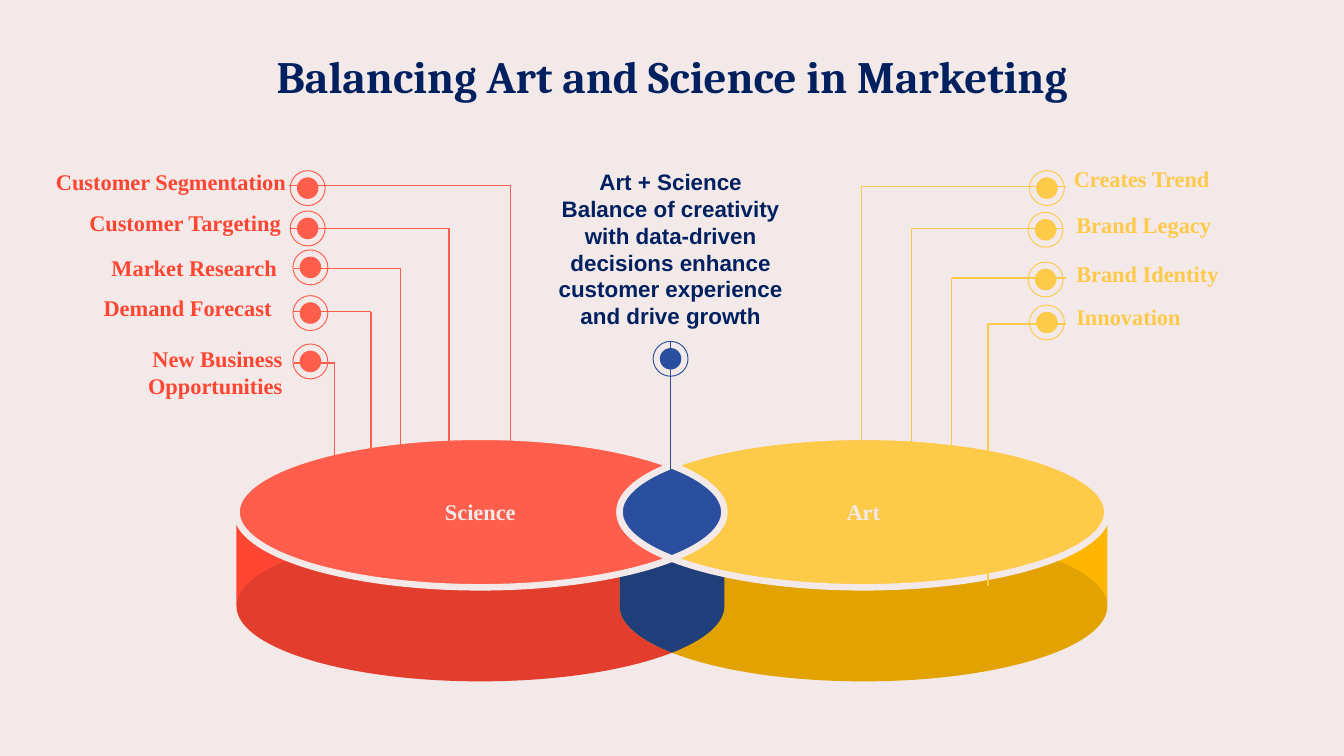
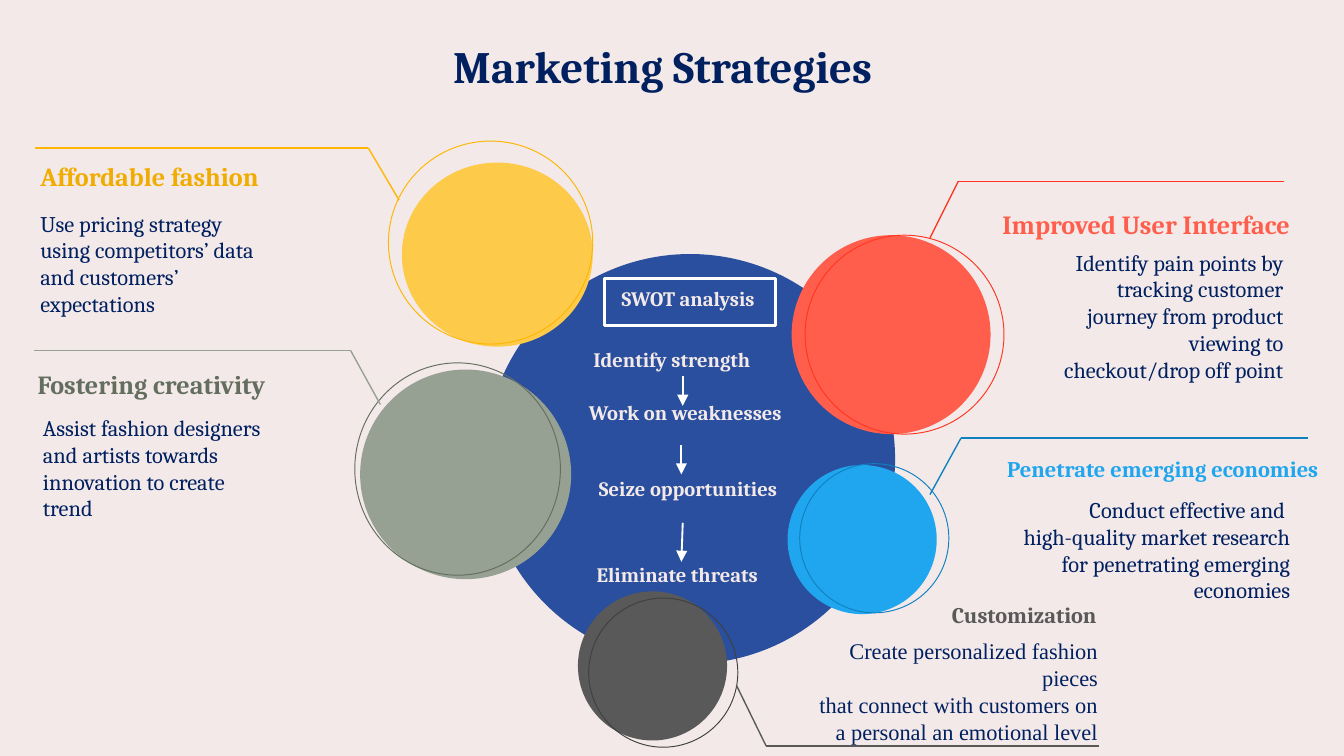
import dataclasses
import math

import lxml.etree
import pptx
import pptx.dml.color
import pptx.enum.shapes
import pptx.enum.text
import pptx.oxml.ns
import pptx.util


@dataclasses.dataclass(frozen=True)
class Theme:
    background: str = "F3E9E8"
    navy: str = "002060"
    blue: str = "294F9E"
    deep_blue: str = "203E7A"
    red: str = "FF5E4C"
    strong_red: str = "FF4633"
    line_red: str = "FF3621"
    yellow: str = "FECA4A"
    strong_yellow: str = "FEB602"
    text_yellow: str = "F1AC01"
    sage: str = "97A193"
    deep_sage: str = "646E5F"
    sky: str = "20A6EE"
    deep_sky: str = "0F81C1"
    grey: str = "595959"
    deep_grey: str = "404040"
    white: str = "FFFFFF"
    black: str = "000000"
    heading_font: str = "Cambria"
    label_font: str = "Times New Roman"
    centre_font: str = "Arial"
    title_size: int = 24
    heading_size: int = 14
    body_size: int = 12
    step_size: int = 11


THEME = Theme()
PX = 9144
ELLIPSE = pptx.enum.shapes.MSO_SHAPE.OVAL
RECTANGLE = pptx.enum.shapes.MSO_SHAPE.RECTANGLE
STRAIGHT = pptx.enum.shapes.MSO_CONNECTOR.STRAIGHT
LEFT = pptx.enum.text.PP_ALIGN.LEFT
CENTER = pptx.enum.text.PP_ALIGN.CENTER
RIGHT = pptx.enum.text.PP_ALIGN.RIGHT

DISC_WIDTH, DISC_HEIGHT = 363, 112
RADIUS_X, RADIUS_Y = DISC_WIDTH / 2, DISC_HEIGHT / 2
SCIENCE_LEFT, ART_LEFT = 176, 461
SCIENCE_X, ART_X = SCIENCE_LEFT + RADIUS_X, ART_LEFT + RADIUS_X
DISC_TOP, BASE_TOP, WALL_TOP = 325, 395, 383
DISC_Y, BASE_Y = DISC_TOP + RADIUS_Y, BASE_TOP + RADIUS_Y
CROSSING = math.acos((ART_X - SCIENCE_X) / 2 / RADIUS_X)


def draw(slide, kind, numbers, fill=None, line=None, width=0.75):
    if kind == "outline":
        corners, arcs = numbers
        points = list(corners)
        for index, (x, y, start, end) in enumerate(arcs):
            pull = 4 / 3 * math.tan((end - start) / 4)
            turns = [(start, 0), (start, pull), (end, -pull), (end, 0)]
            for angle, offset in turns[min(index, 1):]:
                points.append((
                    x + RADIUS_X * (math.cos(angle) - offset * math.sin(angle)),
                    y + RADIUS_Y * (math.sin(angle) + offset * math.cos(angle))))
        points = [(x * PX, y * PX) for x, y in points]
        builder = slide.shapes.build_freeform(*points[0], scale=1.0)
        builder.add_line_segments(points[1:], close=True)
        shape = builder.convert_to_shape()
        segments = shape.element.spPr.findall(".//" + pptx.oxml.ns.qn("a:lnTo"))
        curved = segments[-3 * len(arcs):]
        for first, second, third in zip(curved[::3], curved[1::3], curved[2::3]):
            first.tag = pptx.oxml.ns.qn("a:cubicBezTo")
            for segment in (second, third):
                first.append(segment[0])
                segment.getparent().remove(segment)
    else:
        lengths = [number * PX for number in numbers]
        if kind == "text":
            return slide.shapes.add_textbox(*lengths)
        if kind == "line":
            shape = slide.shapes.add_connector(STRAIGHT, *lengths)
        else:
            shape = slide.shapes.add_shape(kind, *lengths)
    if fill:
        shape.fill.solid()
        shape.fill.fore_color.rgb = pptx.dml.color.RGBColor.from_string(fill)
    elif kind != "line":
        shape.fill.background()
    if line:
        shape.line.color.rgb = pptx.dml.color.RGBColor.from_string(line)
        shape.line.width = pptx.util.Pt(width)
    else:
        shape.line.fill.background()
    lxml.etree.SubElement(shape.element.spPr, pptx.oxml.ns.qn("a:effectLst"))
    return shape


def write(shape, text, color, size=THEME.body_size, font=THEME.heading_font,
          bold=True, align=LEFT, inset=(0, 0), grow=True):
    frame = shape.text_frame
    frame.text = text
    frame.word_wrap = True
    if grow:
        frame.auto_size = pptx.enum.text.MSO_AUTO_SIZE.SHAPE_TO_FIT_TEXT
    frame.margin_left = frame.margin_right = inset[0] * PX
    frame.margin_top = frame.margin_bottom = inset[1] * PX
    for paragraph in frame.paragraphs:
        paragraph.alignment = align
        for run in paragraph.runs:
            run.font.name = font
            run.font.size = pptx.util.Pt(size)
            run.font.bold = bold
            run.font.color.rgb = pptx.dml.color.RGBColor.from_string(color)
    return frame


presentation = pptx.Presentation()
presentation.slide_width = 1000 * PX
presentation.slide_height = pptx.util.Inches(5.625)

slides = []
for title, box in [
    ("Balancing Art and Science in Marketing", (47, 31, 906, 53)),
    ("Marketing Strategies", (56, 23, 874, 63)),
]:
    slide = presentation.slides.add_slide(presentation.slide_layouts[6])
    slide.background.fill.solid()
    slide.background.fill.fore_color.rgb = pptx.dml.color.RGBColor.from_string(THEME.background)
    frame = write(draw(slide, "text", box), title, THEME.navy, THEME.title_size,
                  align=CENTER, inset=(10, 10), grow=False)
    frame.paragraphs[0].line_spacing = 0.9
    slides.append(slide)
balance, strategies = slides

for left, color in [(SCIENCE_LEFT, THEME.strong_red), (ART_LEFT, THEME.strong_yellow)]:
    center_x = left + RADIUS_X
    corners = [(left, WALL_TOP), (left + DISC_WIDTH, WALL_TOP)]
    arcs = [(center_x, BASE_Y, 0, math.pi / 2), (center_x, BASE_Y, math.pi / 2, math.pi)]
    draw(balance, "outline", (corners, arcs), color)
    shade = draw(balance, ELLIPSE, (left, BASE_TOP, DISC_WIDTH, DISC_HEIGHT), THEME.black)
    shade_color = shade.element.spPr.find(".//" + pptx.oxml.ns.qn("a:srgbClr"))
    lxml.etree.SubElement(shade_color, pptx.oxml.ns.qn("a:alpha"), val="11000")

overlap_corners = [(ART_LEFT, WALL_TOP), (SCIENCE_LEFT + DISC_WIDTH, WALL_TOP)]
overlap_arcs = [
    (SCIENCE_X, BASE_Y, 0, CROSSING),
    (ART_X, BASE_Y, math.pi - CROSSING, math.pi),
]
draw(balance, "outline", (overlap_corners, overlap_arcs), THEME.deep_blue)

for name, left, color in [("Science", SCIENCE_LEFT, THEME.red), ("Art", ART_LEFT, THEME.yellow)]:
    disc = draw(balance, ELLIPSE, (left, DISC_TOP, DISC_WIDTH, DISC_HEIGHT), color,
                THEME.background, 3.5)
    write(disc, name, THEME.background, font=THEME.label_font, align=CENTER,
          inset=(10, 5), grow=False)
    disc.text_frame.vertical_anchor = pptx.enum.text.MSO_ANCHOR.MIDDLE

lens_arcs = [
    (SCIENCE_X, DISC_Y, -CROSSING, 0),
    (SCIENCE_X, DISC_Y, 0, CROSSING),
    (ART_X, DISC_Y, math.pi - CROSSING, math.pi),
    (ART_X, DISC_Y, math.pi, math.pi + CROSSING),
]
draw(balance, "outline", ([], lens_arcs), THEME.blue, THEME.background, 3.5)

FLUSH, PADDED = (0, 0), (10, 5)
science_labels = [
    ("Customer Segmentation", (12, 125, 201, 20), FLUSH, (216, 127), (215, 380, 138, 334)),
    ("Customer Targeting", (-287, 151, 506, 30), PADDED, (216, 157), (216, 334, 170, 371)),
    ("Market Research", (37, 184, 179, 30), PADDED, (218, 186), (219, 298, 200, 352)),
    ("Demand Forecast", (-77, 214, 289, 30), PADDED, (218, 220), (218, 276, 232, 335)),
    ("New Business Opportunities", (21, 252, 199, 50), PADDED, (218, 256), (219, 249, 270, 415)),
]
art_labels = [
    ("Creates Trend", (799, 123, 192, 20), FLUSH, (766, 127), (793, 641, 139, 340)),
    ("Brand Legacy", (791, 152, 495, 30), PADDED, (765, 158), (790, 678, 170, 371)),
    ("Brand Identity", (791, 189, 307, 30), PADDED, (765, 195), (793, 708, 207, 402)),
    ("Innovation", (791, 221, 204, 30), PADDED, (766, 227), (793, 735, 241, 436)),
]
markers = [(486, 254, THEME.blue)]
draw(balance, "line", (499, 383, 499, 254), line=THEME.blue)
for labels, color, text_color, align in [
    (science_labels, THEME.red, THEME.strong_red, RIGHT),
    (art_labels, THEME.yellow, THEME.yellow, LEFT),
]:
    for text, box, inset, marker, (start_x, corner_x, rail_y, foot_y) in labels:
        write(draw(balance, "text", box), text, text_color, font=THEME.label_font,
              align=align, inset=inset)
        draw(balance, "line", (corner_x, foot_y, corner_x, rail_y), line=color)
        draw(balance, "line", (start_x, rail_y, corner_x, rail_y), line=color)
        markers.append((*marker, color))
for x, y, color in markers:
    draw(balance, ELLIPSE, (x, y, 26, 26), line=color, width=0.5)
    draw(balance, ELLIPSE, (x + 5, y + 5, 16, 16), color)

write(draw(balance, "text", (403, 125, 192, 121)),
      "Art + Science\nBalance of creativity with data-driven decisions enhance "
      "customer experience and drive growth",
      THEME.navy, font=THEME.centre_font, align=CENTER)

draw(strategies, ELLIPSE, (361, 189, 305, 305), THEME.blue)

bubbles = [
    (THEME.yellow, (299, 121, 142, 137), THEME.strong_yellow, (289, 105, 152, 151),
     THEME.strong_yellow, (297, 149, 274, 110, 26)),
    (THEME.sky, (586, 346, 111, 111), THEME.deep_sky, (595, 345, 111, 111),
     THEME.deep_sky, (692, 368, 715, 326, 973)),
    (THEME.red, (589, 175, 148, 148), THEME.line_red, (599, 175, 148, 148),
     THEME.line_red, (692, 177, 713, 135, 955)),
    (THEME.sage, (268, 275, 157, 156), THEME.deep_sage, (264, 270, 153, 158),
     THEME.sage, (283, 301, 261, 261, 25)),
    (THEME.grey, (430, 440, 111, 111), THEME.deep_grey, (438, 445, 111, 111),
     THEME.grey, (548, 510, 570, 555, 818)),
]
for fill, disc, ring_color, ring, rail_color, (x, y, corner_x, rail_y, end_x) in bubbles:
    draw(strategies, ELLIPSE, disc, fill)
    draw(strategies, ELLIPSE, ring, line=ring_color, width=0.5)
    draw(strategies, "line", (x, y, corner_x, rail_y), line=rail_color)
    draw(strategies, "line", (end_x, rail_y, corner_x, rail_y), line=rail_color)

draw(strategies, RECTANGLE, (450, 207, 127, 35), line=THEME.white, width=1.5)
for text, box in [
    ("SWOT analysis", (438, 213, 148, 19)),
    ("Identify strength", (421, 258, 158, 37)),
    ("Work on weaknesses", (436, 298, 148, 56)),
    ("Seize opportunities", (438, 354, 148, 56)),
    ("Eliminate threats", (430, 418, 148, 19)),
]:
    write(draw(strategies, "text", box), text, THEME.background, THEME.step_size, align=CENTER)
for ends in [(508, 280, 508, 302), (507, 331, 507, 353), (508, 389, 507, 418)]:
    arrow = draw(strategies, "line", ends, line=THEME.white, width=1)
    outline = arrow.element.spPr.find(pptx.oxml.ns.qn("a:ln"))
    lxml.etree.SubElement(outline, pptx.oxml.ns.qn("a:tailEnd"), type="triangle")

topics = [
    ("Affordable fashion", (30, 119, 239, 24), THEME.heading_size, THEME.text_yellow, LEFT,
     "Use pricing strategy using competitors’ data and customers’ expectations",
     (30, 156, 170, 81), THEME.heading_font),
    ("Fostering creativity", (28, 274, 239, 24), THEME.heading_size, THEME.deep_sage, LEFT,
     "Assist fashion designers and artists towards innovation to create trend",
     (32, 308, 170, 81), THEME.heading_font),
    ("Improved User Interface", (672, 155, 288, 24), THEME.heading_size, THEME.red, RIGHT,
     "Identify pain points by tracking customer journey from product viewing to "
     "checkout/drop off point",
     (785, 185, 170, 121), THEME.heading_font),
    ("Penetrate emerging economies", (706, 339, 275, 20), THEME.body_size, THEME.sky, RIGHT,
     "Conduct effective and \nhigh-quality market research for penetrating emerging economies",
     (742, 369, 218, 81), THEME.heading_font),
    ("Customization", (578, 447, 238, 20), THEME.body_size, THEME.grey, RIGHT,
     "Create personalized fashion pieces\n"
     "that connect with customers on a personal an emotional level",
     (599, 474, 218, 81), THEME.label_font),
]
for heading, heading_box, size, color, align, body, body_box, font in topics:
    write(draw(strategies, "text", heading_box), heading, color, size, align=align)
    write(draw(strategies, "text", body_box), body, THEME.navy, font=font, bold=False, align=align)

presentation.save("out.pptx")
